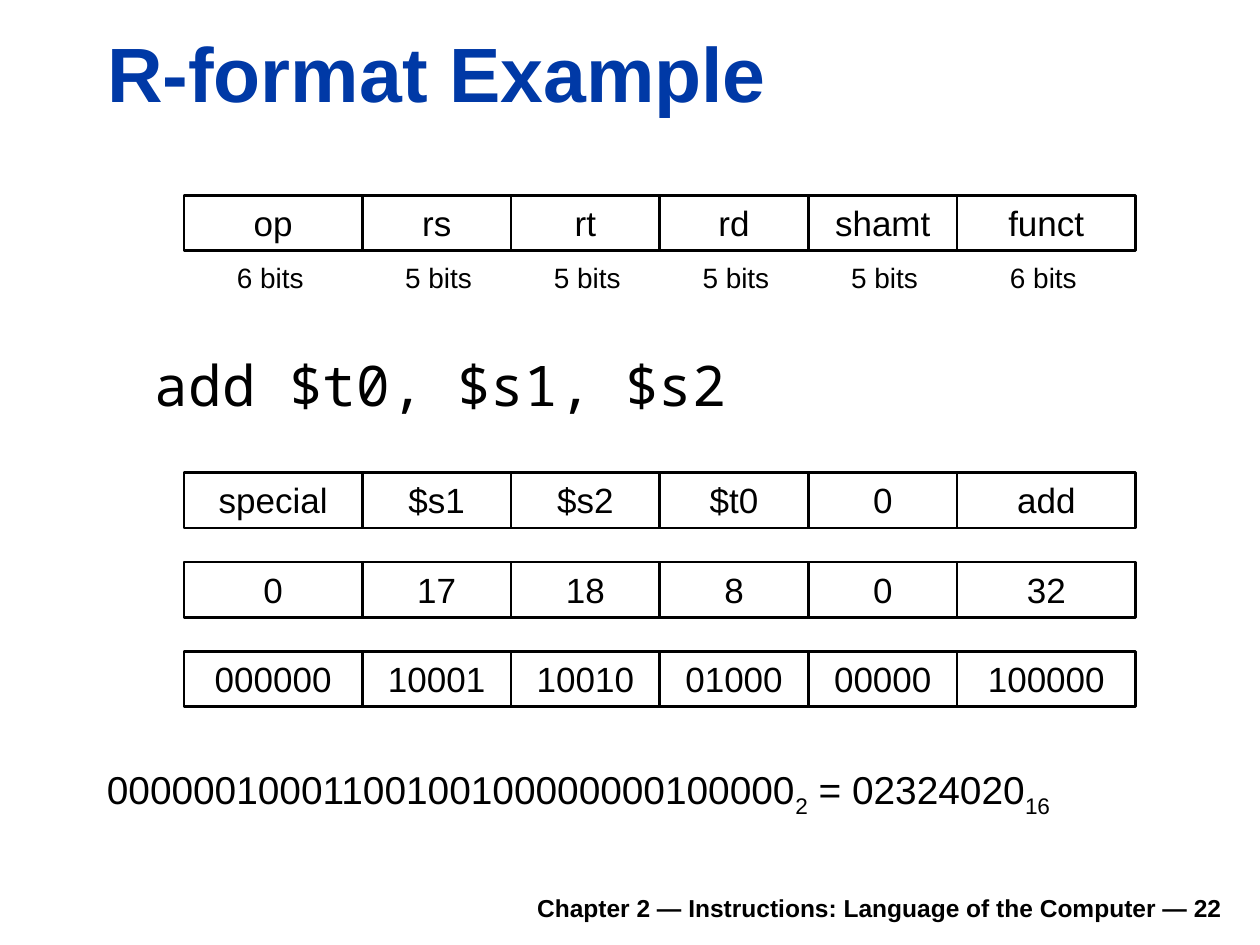
from pptx import Presentation
from pptx.dml.color import RGBColor
from pptx.enum.shapes import MSO_SHAPE as Shape
from pptx.enum.text import MSO_ANCHOR as Anchor, MSO_AUTO_SIZE as AutoSize, PP_ALIGN as Align
from pptx.util import Inches, Pt

BLUE = RGBColor(0x00, 0x39, 0xA6)
BLACK = RGBColor(0x00, 0x00, 0x00)
COLUMN = ROW = Inches(0.1)
FIELD_BITS = (6, 5, 5, 5, 5, 6)
BIT_WIDTH = 2.36
FIELD_LEFT = 14.6
FIELD_HEIGHT = 4.4
ENCODING_PITCH = 7.1
FIELD_NAMES = ("op", "rs", "rt", "rd", "shamt", "funct")
ENCODINGS = (
    ("special", "$s1", "$s2", "$t0", "0", "add"),
    ("0", "17", "18", "8", "0", "32"),
    ("000000", "10001", "10010", "01000", "00000", "100000"),
)
TITLE = {"size": Pt(44), "name": "Arial", "bold": True}
CODE = {"size": Pt(32), "name": "Noto Sans Mono"}
FIELD = {"size": Pt(20), "name": "Arial"}
WIDTH_LABEL = {"size": Pt(16), "name": "Arial"}
EQUATION = {"size": Pt(22.2), "name": "Arial"}
FOOTER = {"size": Pt(14), "name": "Arial", "bold": True}


def measure(box):
    """Convert a box in grid columns and rows to slide lengths."""
    left, top, width, height = box
    return round(left * COLUMN), round(top * ROW), round(width * COLUMN), round(height * ROW)


def write(shape, parts, font, color=BLACK, align=Align.LEFT, anchor=Anchor.TOP, wrap=True):
    """Write one paragraph of (text, baseline percent) parts in a shape."""
    frame = shape.text_frame
    frame.auto_size = AutoSize.NONE
    frame.word_wrap = wrap
    frame.vertical_anchor = anchor
    para = frame.paragraphs[0]
    para.alignment = align
    for text, baseline in parts:
        span = para.add_run()
        span.text = text
        for key, value in font.items():
            setattr(span.font, key, value)
        span.font.color.rgb = color
        if baseline:
            span._r.get_or_add_rPr().set("baseline", str(baseline * 1000))


def place_text(shapes, box, parts, font, **layout):
    """Add a text box with one paragraph."""
    shape = shapes.add_textbox(*measure(box))
    write(shape, parts, font, **layout)
    return shape


def place_title(page, box, text):
    """Place and format the title placeholder."""
    title = page.shapes.title
    title.left, title.top, title.width, title.height = measure(box)
    write(title, [(text, 0)], TITLE, color=BLUE, anchor=Anchor.BOTTOM)


def field_lefts(left):
    """Return the left edge of each instruction field."""
    return [left + sum(FIELD_BITS[:index]) * BIT_WIDTH for index in range(len(FIELD_BITS))]


def place_fields(shapes, left, top, values):
    """Draw one row of instruction fields, each as wide as its bits."""
    for cell_left, bits, value in zip(field_lefts(left), FIELD_BITS, values):
        box = (cell_left, top, bits * BIT_WIDTH, FIELD_HEIGHT)
        cell = shapes.add_shape(Shape.RECTANGLE, *measure(box))
        cell.shadow.inherit = False
        cell.fill.background()
        cell.line.color.rgb = BLACK
        cell.line.width = Pt(1.5)
        write(cell, [(value, 0)], FIELD, align=Align.CENTER)


def place_format(page, left, top):
    """Draw the grouped field names with their bit widths below."""
    group = page.shapes.add_group_shape()
    place_fields(group.shapes, left, top, FIELD_NAMES)
    for cell_left, bits in zip(field_lefts(left), FIELD_BITS):
        box = (cell_left + 0.8 * (bits - 2), top + 4.7, 7.3, 3.7)
        place_text(group.shapes, box, [(f"{bits} bits", 0)], WIDTH_LABEL,
                   align=Align.CENTER, wrap=False)


def place_code(page, box, text):
    """Place the indented assembly instruction."""
    shape = place_text(page.shapes, box, [(text, 0)], CODE)
    shape.text_frame.margin_left = Inches(0.48)


def main():
    """Build the slide and save the deck."""
    deck = Presentation()
    deck.slide_width, deck.slide_height = Inches(10), Inches(7.5)
    page = deck.slides.add_slide(deck.slide_layouts[5])
    place_text(page.shapes, (18.5, 69.8, 79.5, 3.9),
               [("Chapter 2 — Instructions: Language of the Computer — 22", 0)],
               FOOTER, align=Align.RIGHT, anchor=Anchor.BOTTOM)
    place_title(page, (7.5, 1.6, 90.3, 8.3), "R-format Example")
    place_code(page, (7.5, 27.3, 90.4, 7.1), "add $t0, $s1, $s2")
    for index, values in enumerate(ENCODINGS):
        place_fields(page.shapes, FIELD_LEFT, 37.5 + index * ENCODING_PITCH, values)
    place_text(page.shapes, (7.5, 60.3, 89, 5.5),
               [("00000010001100100100000000100000", 0), ("2", -25),
                (" = 02324020", 0), ("16", -25)], EQUATION)
    place_format(page, FIELD_LEFT, 15.5)
    deck.save("out.pptx")


if __name__ == "__main__":
    main()
